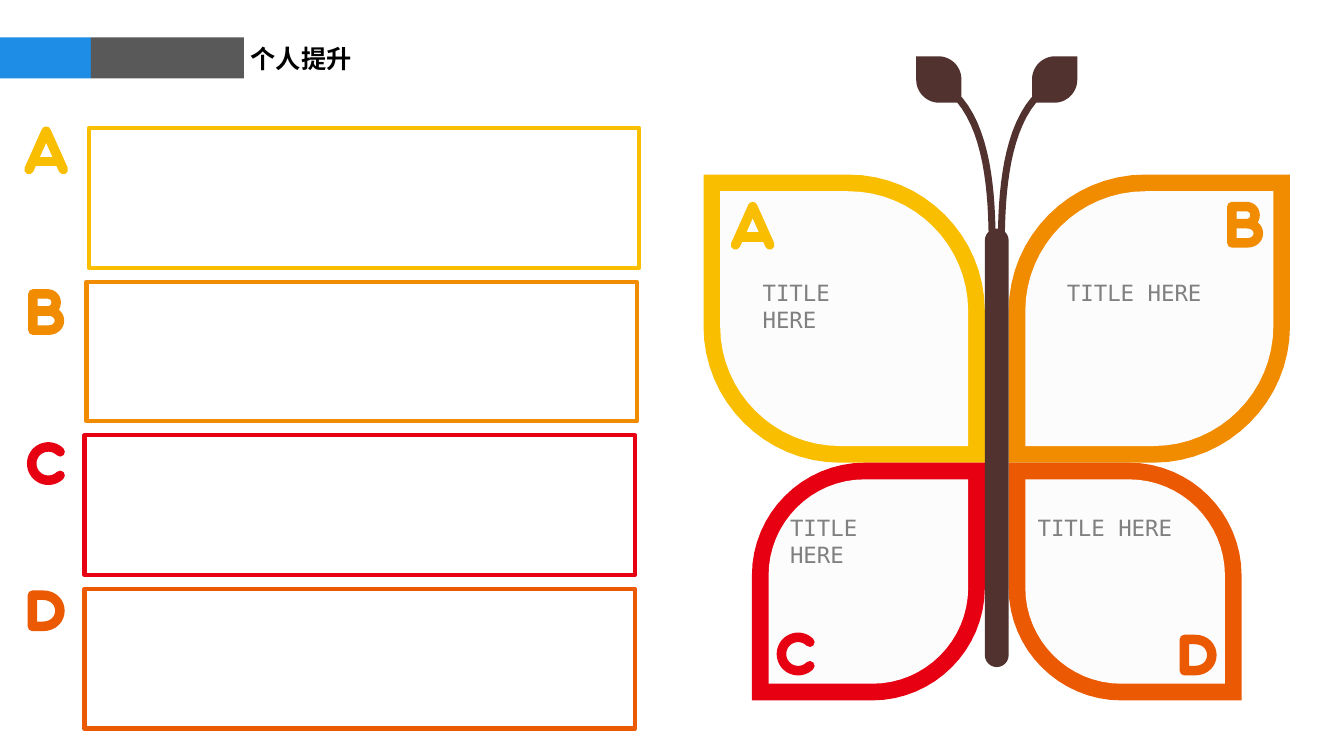
import math

import lxml.etree
import pptx
import pptx.dml.color
import pptx.enum.shapes
import pptx.enum.text
import pptx.oxml.ns
import pptx.util

Cm = pptx.util.Cm
Pt = pptx.util.Pt
SHAPES = pptx.enum.shapes.MSO_SHAPE
COLORS = {
    "A": "FABE00", "B": "F18B00", "C": "E60012", "D": "EB5902",
    "blue": "1D8DE5", "gray": "595959", "body": "51322F",
    "wing": "FCFCFD", "caption": "808080", "heading": "000000",
}
HEADING_FORMAT = {"size": Pt(18), "name": "Arial", "bold": True}
CAPTION_FORMAT = {"size": Pt(16), "name": "DejaVu Sans Mono"}
GRID = 0.0254
CURVE_STEPS = 16
ARC_HANDLE = 0.45
LETTER_STROKE = 6.8
LETTER_EDGE = 4.7

LETTERS = {
    "A": [[(5, 43), (22, 5), (39, 43)], [(12, 35), (32, 35)]],
    "B": [[(5, 22), (5, 5), (19, 5), (31, 5, 31, 22, 19, 22), (5, 22),
           (5, 41), (20, 41), (35, 41, 35, 22, 20, 22)]],
    "C": [[(21 + 16.5 * math.cos(math.radians(angle)),
            21 + 16.5 * math.sin(math.radians(angle)))
           for angle in range(45, 316, 5)]],
    "D": [[(5, 36), (5, 5), (15, 5), (38, 5, 38, 36, 15, 36), (5, 36), (5, 5)]],
}
STALK = [[(37, 43), (6, 80, 4.5, 149, 4.5, 194)]]


def rgb(name):
    return pptx.dml.color.RGBColor.from_string(COLORS[name])


def paint(shape, color):
    shape.shadow.inherit = False
    shape.fill.solid()
    shape.fill.fore_color.rgb = rgb(color)
    shape.line.fill.background()


def paint_stroke(shape, color, points, rounded=False):
    shape.shadow.inherit = False
    shape.fill.background()
    shape.line.color.rgb = rgb(color)
    shape.line.width = Pt(points)
    if rounded:
        line = shape.line.fill._xPr
        line.set("cap", "rnd")
        lxml.etree.SubElement(line, pptx.oxml.ns.qn("a:round"))


def add_block(slide, kind, box, color):
    shape = slide.shapes.add_shape(kind, *map(Cm, box))
    paint(shape, color)
    return shape


def add_text(slide, box, text, color, formats, wrap):
    shape = slide.shapes.add_textbox(*map(Cm, box))
    frame = shape.text_frame
    frame.word_wrap = wrap
    frame.auto_size = pptx.enum.text.MSO_AUTO_SIZE.SHAPE_TO_FIT_TEXT
    run = frame.paragraphs[0].add_run()
    run.text = text
    for key, value in formats.items():
        setattr(run.font, key, value)
    run.font.color.rgb = rgb(color)


def flatten(contour):
    points = [contour[0]]
    for segment in contour[1:]:
        if len(segment) == 2:
            points.append(segment)
            continue
        start = points[-1]
        for step in range(1, CURVE_STEPS + 1):
            t = step / CURVE_STEPS
            u = 1 - t
            points.append(tuple(
                u**3 * start[i] + 3 * u * u * t * segment[i]
                + 3 * u * t * t * segment[i + 2] + t**3 * segment[i + 4]
                for i in (0, 1)))
    return points


def add_outline(slide, contours, origin, scale, close):
    builder = None
    for contour in contours:
        points = [tuple(Cm(origin[i] + point[i] * scale[i]) for i in (0, 1))
                  for point in flatten(contour)]
        if builder is None:
            builder = slide.shapes.build_freeform(*points[0], scale=1.0)
        else:
            builder.move_to(*points[0])
        builder.add_line_segments(points[1:], close=close)
    return builder.convert_to_shape()


def letter_size(letter):
    points = [point for contour in LETTERS[letter] for point in flatten(contour)]
    return tuple((max(point[i] for point in points) + LETTER_EDGE) * GRID
                 for i in (0, 1))


def add_letter(slide, letter, left, top):
    shape = add_outline(slide, LETTERS[letter], (left, top), (GRID, GRID), False)
    paint_stroke(shape, letter, LETTER_STROKE, rounded=True)


def add_leaf(slide, origin, direction, size, radius, color, inset=0):
    right, bottom = (length - inset for length in size)
    r = radius - inset
    k = r * ARC_HANDLE
    contour = [
        (inset, inset), (right - r, inset),
        (right - k, inset, right, inset + k, right, inset + r),
        (right, bottom), (inset + r, bottom),
        (inset + k, bottom, inset, bottom - k, inset, bottom - r),
    ]
    paint(add_outline(slide, [contour], origin, direction, True), color)


def add_header(slide, box):
    left, top, width, height = box
    add_block(slide, SHAPES.RECTANGLE, (left, top, 2.29, height), "blue")
    add_block(slide, SHAPES.RECTANGLE, (left + 2.29, top, 3.86, height), "gray")
    add_text(slide, (left + 6.07, top + 0.03, width - 6.07, 1.02),
             "个人提升", "heading", HEADING_FORMAT, False)


def add_cards(slide, box):
    left, top, width, height = box
    pitch = 3.87
    card_height = height - 3 * pitch
    rows = [("A", 0.11, -0.05), ("B", 0.05, 0.18), ("C", 0, 0.18), ("D", 0, 0.03)]
    for index, (letter, shift, letter_drop) in enumerate(rows):
        card_top = top + index * pitch
        card = add_block(slide, SHAPES.RECTANGLE,
                         (left + shift, card_top, width, card_height), letter)
        paint_stroke(card, letter, 3)
        add_letter(slide, letter, left - 0.97 - letter_size(letter)[0] / 2,
                   card_top + letter_drop)


def add_butterfly(slide, box):
    left, top, width, height = box
    axis = left + width / 2
    waist = top + 10.24
    half_body, border = 0.3, 0.42
    upper = ((7.09, 7.26), 3.44, 0.68)
    lower = ((5.87, 5.99), 2.84, 0.63)
    wings = [
        ("A", -1, -1, upper, (1.24, 2.51), 3.81),
        ("B", 1, -1, upper, (1.22, 2.51), 3.94),
        ("C", -1, 1, lower, (0.71, 1.17), 3.81),
        ("D", 1, 1, lower, (0.48, 1.17), 3.94),
    ]
    for letter, side, down, (size, radius, margin), offset, text_width in wings:
        root = (axis + side * half_body, waist)
        for inset, color in ((0, letter), (border, "wing")):
            add_leaf(slide, root, (side, down), size, radius, color, inset)
        wing_left = min(root[0], root[0] + side * size[0])
        wing_top = min(waist, waist + down * size[1])
        glyph = letter_size(letter)
        letter_left = margin if side < 0 else size[0] - margin - glyph[0]
        letter_top = margin if down < 0 else size[1] - margin - glyph[1]
        add_letter(slide, letter, wing_left + letter_left, wing_top + letter_top)
        add_text(slide, (wing_left + offset[0], wing_top + offset[1], text_width, 0.94),
                 "TITLE HERE", "caption", CAPTION_FORMAT, True)
    for side in (-1, 1):
        stalk = add_outline(slide, STALK, (axis, top), (side * GRID, GRID), False)
        paint_stroke(stalk, "body", 5, rounded=True)
        add_leaf(slide, (axis + side * 0.89, top + 1.17), (side, -1),
                 (1.14, 1.17), 0.58, "body")
    body = add_block(slide, SHAPES.ROUNDED_RECTANGLE,
                     (axis - half_body, top + 4.34, 2 * half_body, 11.05), "body")
    body.adjustments[0] = 0.5


presentation = pptx.Presentation()
presentation.slide_width = Cm(33.87)
presentation.slide_height = Cm(19.05)
slide = presentation.slides.add_slide(presentation.slide_layouts[6])
add_header(slide, (0, 0.94, 9.14, 1.04))
add_cards(slide, (2.13, 3.23, 13.87, 15.13))
add_butterfly(slide, (17.73, 1.42, 14.78, 16.23))
presentation.save("out.pptx")
